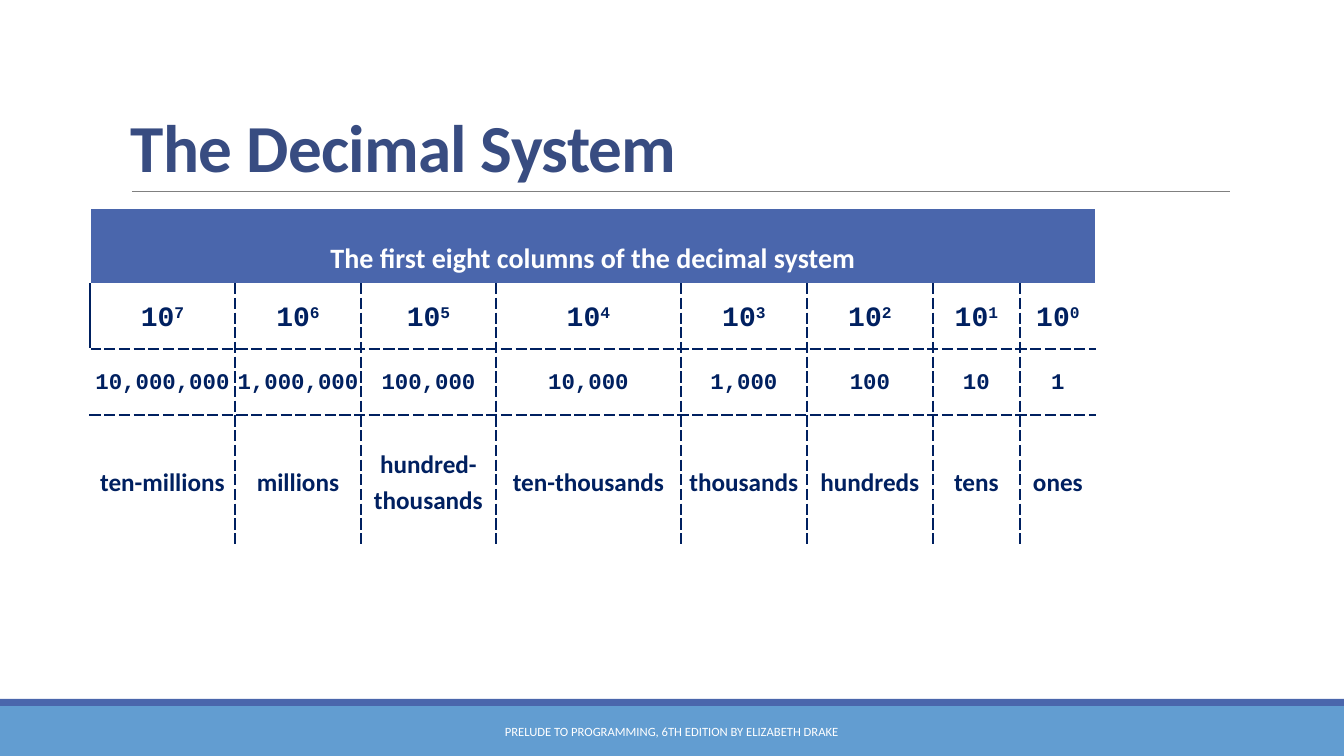
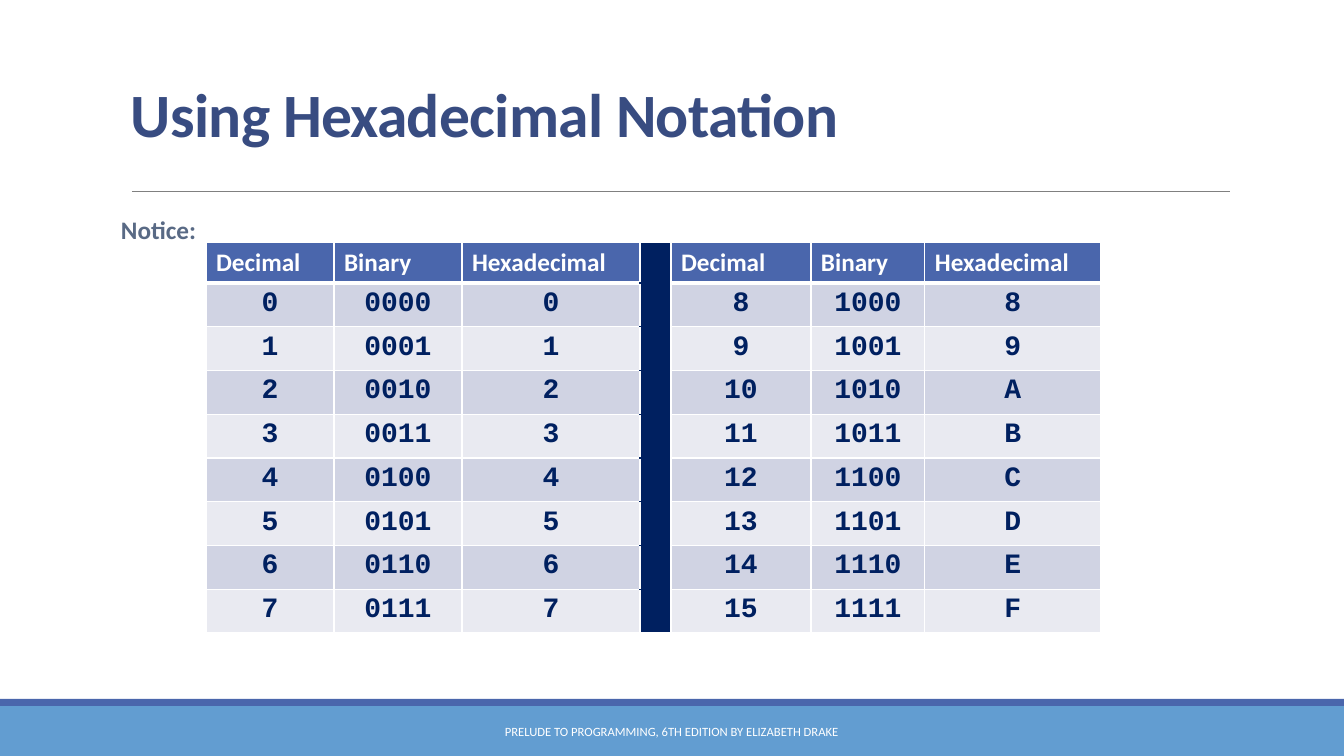
import lxml.etree
import pptx
import pptx.dml.color
import pptx.enum.shapes
import pptx.enum.text
import pptx.oxml.ns
import pptx.util

WIDE, HIGH = 1344, 756
NAVY, BLUE, SKY, WHITE = "002060", "4A66AC", "629DD1", "FFFFFF"
INK, SLATE, GREY = "384C81", "596A85", "808080"
BANDS = ["D0D3E3", "E9EAF1"]
SANS, MONO = "Calibri", "Courier New"
FOOT = "PRELUDE TO PROGRAMMING, 6TH EDITION BY ELIZABETH DRAKE"

PLACES = {
    "title": "The Decimal System",
    "head": "The first eight columns of the decimal system",
    "values": ["10,000,000", "1,000,000", "100,000", "10,000",
               "1,000", "100", "10", "1"],
    "names": ["ten-millions", "millions", "hundred-thousands", "ten-thousands",
              "thousands", "hundreds", "tens", "ones"],
    "cols": [145, 126, 135, 185, 126, 126, 87, 76],
    "rows": [77, 64, 66, 131],
}
HEXES = {
    "title": "Using Hexadecimal Notation",
    "note": "Notice:",
    "heads": ["Decimal", "Binary", "Hexadecimal"],
    "cols": [128, 128, 178, 31, 140, 114, 176],
    "rows": [41] * 9,
}

ALIGN = pptx.enum.text.PP_ALIGN
ANCHOR = pptx.enum.text.MSO_ANCHOR
SHAPE = pptx.enum.shapes.MSO_SHAPE
LINK = pptx.enum.shapes.MSO_CONNECTOR
Pt = pptx.util.Pt
qn = pptx.oxml.ns.qn


def px(n):
    return pptx.util.Emu(round(n * 914400 / 100.8))


def rgb(code):
    return pptx.dml.color.RGBColor.from_string(code)


def put(obj, **vals):
    for key, val in vals.items():
        setattr(obj, key, val)


def paint(fill, code):
    fill.solid()
    fill.fore_color.rgb = rgb(code)


def write(para, text, size, code, font=SANS, bold=True, **attrs):
    run = para.add_run()
    put(run, text=text)
    put(run.font, size=Pt(size), name=font, bold=bold)
    run.font.color.rgb = rgb(code)
    for key, val in attrs.items():
        run._r.get_or_add_rPr().set(key, val)


def box(slide, area, anchor, side=10, **form):
    frame = slide.shapes.add_textbox(*map(px, area)).text_frame
    put(frame, word_wrap=True, vertical_anchor=anchor,
        margin_left=px(side), margin_right=px(side))
    put(frame.paragraphs[0], **form)
    return frame.paragraphs[0]


def start(deck, title, size, deep):
    slide = deck.slides.add_slide(deck.slide_layouts[6])
    for top, tall, code in [(706, 50, SKY), (699, 7, BLUE)]:
        band = slide.shapes.add_shape(
            SHAPE.RECTANGLE, *map(px, (0, top, WIDE, tall)))
        band.shadow.inherit = False
        paint(band.fill, code)
        band.line.fill.background()
    rule = slide.shapes.add_connector(
        LINK.STRAIGHT, *map(px, (132, 191, 1230, 191)))
    rule.line.width = Pt(0.5)
    rule.line.color.rgb = rgb(GREY)
    lxml.etree.SubElement(rule._element.spPr, qn("a:effectLst"))
    para = box(slide, (121, 31, 1109, deep), ANCHOR.BOTTOM, line_spacing=0.85)
    write(para, title, size, INK, spc="-50")
    para = box(slide, (406, 712, 531, 40), ANCHOR.MIDDLE, alignment=ALIGN.CENTER)
    write(para, FOOT, 9, WHITE, bold=False)
    return slide


def grid(slide, left, top, cols, rows):
    table = slide.shapes.add_table(
        len(rows), len(cols),
        *map(px, (left, top, sum(cols), sum(rows)))).table
    put(table, first_row=False, horz_banding=False)
    for col, wide in zip(table.columns, cols):
        col.width = px(wide)
    for row, tall in zip(table.rows, rows):
        row.height = px(tall)
    return table


def edge(cell, **sides):
    props = cell._tc.get_or_add_tcPr()
    for side in "LRTB":
        code, width, dash = sides[side]
        line = lxml.etree.SubElement(props, qn("a:ln" + side), w=str(Pt(width)))
        fill = lxml.etree.SubElement(line, qn("a:solidFill"))
        lxml.etree.SubElement(fill, qn("a:srgbClr"), val=code)
        lxml.etree.SubElement(line, qn("a:prstDash"), val=dash)


THIN, THICK = (WHITE, 1, "solid"), (WHITE, 3, "solid")
DASH, FIRM = (NAVY, 1.5, "sysDash"), (NAVY, 1.5, "solid")
BLANK = (NAVY, 1, "solid")


def places(deck):
    slide = start(deck, PLACES["title"], 48, 160)
    cols, rows = PLACES["cols"], PLACES["rows"]
    table = grid(slide, 90, 208, cols, rows)
    end, low = len(cols) - 1, len(rows) - 1
    for r in range(len(rows)):
        for c in range(len(cols)):
            cell = table.cell(r, c)
            if r == 0:
                edge(cell, L=THIN, R=THIN, T=THIN, B=THICK)
            else:
                outer = FIRM if r == 1 else THIN
                edge(cell, L=DASH if c else outer, R=DASH if c < end else THIN,
                     T=DASH if r > 1 else THICK, B=DASH if r < low else THIN)
            paint(cell.fill, WHITE if r else BLUE)
            put(cell, margin_left=px(2), margin_right=px(2),
                margin_top=0, margin_bottom=0)
            if r == 0:
                continue
            cell.vertical_anchor = ANCHOR.MIDDLE
            para = cell.text_frame.paragraphs[0]
            put(para, alignment=ALIGN.CENTER, line_spacing=1.15,
                space_after=Pt(6))
            if r == 1:
                write(para, "10", 20, NAVY, MONO)
                write(para, str(end - c), 20, NAVY, MONO, baseline="30000")
            elif r == 2:
                write(para, PLACES["values"][c], 16, NAVY, MONO)
            else:
                write(para, PLACES["names"][c], 18, NAVY)
    head = table.cell(0, 0)
    head.merge(table.cell(0, end))
    para = head.text_frame.paragraphs[0]
    put(para, alignment=ALIGN.CENTER, line_spacing=2.0)
    write(para, PLACES["head"], 20, WHITE)


def hexes(deck):
    slide = start(deck, HEXES["title"], 44, 124)
    para = box(slide, (121, 215, 1109, 444), ANCHOR.TOP, side=0,
               line_spacing=0.8, space_after=Pt(2))
    write(para, HEXES["note"], 18, SLATE)
    cols, rows = HEXES["cols"], HEXES["rows"]
    table = grid(slide, 206, 242, cols, rows)
    last = len(rows) - 1
    lines = [HEXES["heads"] + [""] + HEXES["heads"]]
    for n in range(8):
        left, right = [[str(v), f"{v:04b}", f"{v:X}"] for v in (n, n + 8)]
        lines.append(left + [""] + right)
    for r, line in enumerate(lines):
        for c, text in enumerate(line):
            cell = table.cell(r, c)
            gap = c == 3
            inner = BLANK if gap else THIN
            under = BLANK if gap else THICK
            edge(cell, L=THIN, R=THIN,
                 T=THIN if r == 0 else under if r == 1 else inner,
                 B=under if r == 0 else THIN if r == last else inner)
            paint(cell.fill, NAVY if gap else BANDS[(r - 1) % 2] if r else BLUE)
            if gap:
                continue
            para = cell.text_frame.paragraphs[0]
            if r:
                para.alignment = ALIGN.CENTER
                write(para, text, 20, NAVY, MONO)
            else:
                write(para, text, 18, WHITE)


def main():
    deck = pptx.Presentation()
    put(deck, slide_width=px(WIDE), slide_height=px(HIGH))
    places(deck)
    hexes(deck)
    deck.save("out.pptx")


if __name__ == "__main__":
    main()
